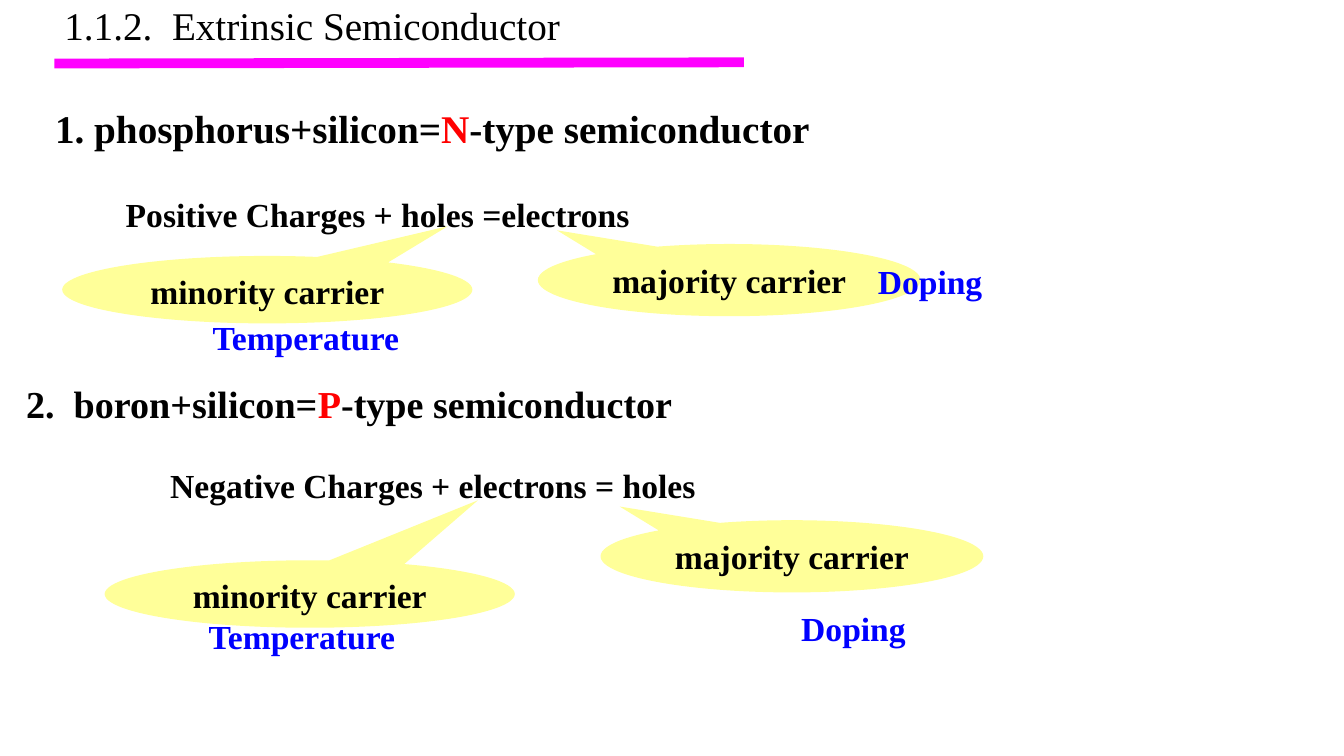
import pptx
import pptx.dml.color
import pptx.enum.shapes
import pptx.enum.text
import pptx.oxml.ns
import pptx.util
from dataclasses import dataclass
from lxml import etree

Cm = pptx.util.Cm
Pt = pptx.util.Pt
Align = pptx.enum.text.PP_ALIGN
Anchor = pptx.enum.text.MSO_ANCHOR


def rgb(value):
    return pptx.dml.color.RGBColor.from_string(value)


@dataclass
class Theme:
    font: str = "Times New Roman"
    ink: str = "000000"
    accent: str = "FF0000"
    factor: str = "0000FF"
    callout: str = "FFFF99"
    rule: str = "FF00FF"
    rule_width: float = 7
    title_size: float = 28
    body_size: float = 24


class SlideBuilder:
    def __init__(self, slide, theme):
        self.slide = slide
        self.theme = theme

    def set_text(self, shape, runs, size, bold=True, align=Align.LEFT,
                 anchor=Anchor.TOP, spacing=1.0):
        """Fill a shape with one paragraph of (text, colour) runs."""
        frame = shape.text_frame
        frame.word_wrap = True
        frame.auto_size = pptx.enum.text.MSO_AUTO_SIZE.NONE
        frame.vertical_anchor = anchor
        paragraph = frame.paragraphs[0]
        paragraph.alignment = align
        paragraph.line_spacing = spacing
        for text, color in runs:
            run = paragraph.add_run()
            run.text = text
            run.font.name = self.theme.font
            run.font.size = Pt(size)
            run.font.bold = bold
            run.font.color.rgb = rgb(color)

    def title(self, text, left, top, width, height):
        title = self.slide.shapes.title
        title.left, title.top = Cm(left), Cm(top)
        title.width, title.height = Cm(width), Cm(height)
        self.set_text(title, [(text, self.theme.ink)], self.theme.title_size,
                      bold=False, anchor=Anchor.MIDDLE, spacing=0.8)

    def rule(self, x1, y1, x2, y2):
        line = self.slide.shapes.add_connector(
            pptx.enum.shapes.MSO_CONNECTOR.STRAIGHT, Cm(x1), Cm(y1), Cm(x2), Cm(y2))
        line.line.color.rgb = rgb(self.theme.rule)
        line.line.width = Pt(self.theme.rule_width)
        etree.SubElement(line._element.spPr, pptx.oxml.ns.qn("a:effectLst"))

    def text(self, runs, left, top, width, height=1.27, size=None, **style):
        box = self.slide.shapes.add_textbox(Cm(left), Cm(top), Cm(width), Cm(height))
        self.set_text(box, runs, size or self.theme.body_size, **style)

    def callout(self, text, left, top, width, height, tip):
        bubble = self.slide.shapes.add_shape(
            pptx.enum.shapes.MSO_SHAPE.OVAL_CALLOUT,
            Cm(left), Cm(top), Cm(width), Cm(height))
        bubble.shadow.inherit = False
        bubble.fill.solid()
        bubble.fill.fore_color.rgb = rgb(self.theme.callout)
        bubble.line.fill.background()
        # The tip is measured from the centre, in fractions of width and height
        bubble.adjustments[0], bubble.adjustments[1] = tip
        self.set_text(bubble, [(text, self.theme.ink)], self.theme.body_size,
                      align=Align.CENTER)


# Each doping type: heading, charge equation, carriers and what controls them
SECTIONS = [
    dict(heading=("1. phosphorus+silicon=", "N"), heading_at=(1.14, 2.51),
         heading_size=28, heading_spacing=1.0,
         equation="Positive Charges + holes =electrons", equation_at=(2.92, 4.75),
         majority_at=(13.56, 6.15), minority_at=(1.57, 6.45),
         minority_tip=(0.44, -0.94),
         doping_at=(21.64, 6.45), temperature_at=(5.11, 7.85)),
    dict(heading=("2.  boron+silicon=", "P"), heading_at=(0.41, 9.6),
         heading_size=27.2, heading_spacing=0.9,
         equation="Negative Charges + electrons = holes", equation_at=(4.04, 11.58),
         majority_at=(15.14, 13.11), minority_at=(2.64, 14.12),
         minority_tip=(0.41, -1.39),
         doping_at=(19.71, 15.19), temperature_at=(5.01, 15.39)),
]


def main():
    presentation = pptx.Presentation()
    presentation.slide_width = Cm(33.88)
    presentation.slide_height = Cm(19.05)
    theme = Theme()
    title_only = presentation.slide_layouts[5]
    builder = SlideBuilder(presentation.slides.add_slide(title_only), theme)

    # Title and underline
    builder.title("1.1.2.  Extrinsic Semiconductor", 1.37, 0, 18.77, 1.45)
    builder.rule(1.37, 1.6, 18.75, 1.57)

    # The two semiconductor types
    for section in SECTIONS:
        recipe, letter = section["heading"]
        builder.text([(recipe, theme.ink), (letter, theme.accent),
                      ("-type semiconductor", theme.ink)],
                     *section["heading_at"], 23, 1.5,
                     size=section["heading_size"],
                     spacing=section["heading_spacing"])
        builder.text([(section["equation"], theme.ink)],
                     *section["equation_at"], 15.2)
        builder.callout("majority carrier", *section["majority_at"], 9.65, 1.82,
                        (-0.45, -0.69))
        builder.callout("minority carrier", *section["minority_at"], 10.34, 1.7,
                        section["minority_tip"])
        builder.text([("Doping", theme.factor)], *section["doping_at"], 3.61,
                     align=Align.CENTER)
        builder.text([("Temperature", theme.factor)],
                     *section["temperature_at"], 6)

    presentation.save("out.pptx")


if __name__ == "__main__":
    main()
